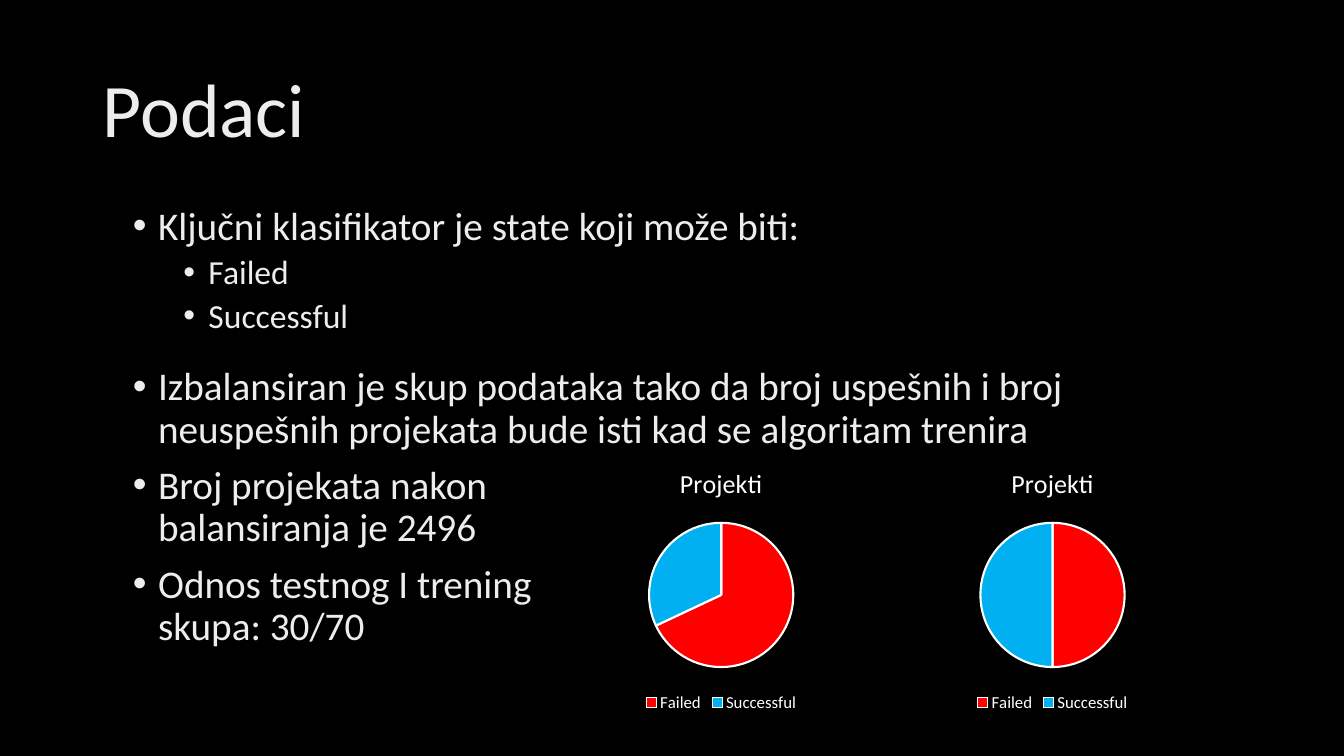
from lxml import etree
from pptx import Presentation
from pptx.chart.data import CategoryChartData
from pptx.dml.color import RGBColor
from pptx.enum.chart import XL_CHART_TYPE, XL_LEGEND_POSITION
from pptx.enum.text import MSO_ANCHOR
from pptx.oxml.ns import qn
from pptx.util import Cm, Pt

PIE = XL_CHART_TYPE.PIE
BOTTOM = XL_LEGEND_POSITION.BOTTOM
TOP, MIDDLE = MSO_ANCHOR.TOP, MSO_ANCHOR.MIDDLE


def color(hex_code):
    return RGBColor.from_string(hex_code)


def set_font(font, size, hex_code, name):
    font.size = Pt(size)
    font.name = name
    font.color.rgb = color(hex_code)


def add_text(p, text, *, size, hex_code, name, before=0, indent=None):
    """Fill a paragraph; an indent in cm makes it a bullet."""
    p.line_spacing = 0.9
    p.space_before = Pt(before)
    for i, line in enumerate(text.split("\n")):
        if i:
            p.add_line_break()
        r = p.add_run()
        r.text = line
        set_font(r.font, size, hex_code, name)
    if indent is not None:
        pPr = p._p.get_or_add_pPr()
        pPr.set("marL", str(Cm(indent)))
        pPr.set("indent", str(-Cm(0.635)))
        etree.SubElement(pPr, qn("a:buFont")).set("typeface", "Arial")
        etree.SubElement(pPr, qn("a:buChar")).set("char", "•")


class Deck:
    font = "Calibri"
    ink = "EDEDED"
    white = "FFFFFF"
    slices = ("FF0000", "00B0F0")
    levels = ({"size": 28, "before": 10, "indent": 0.635},
              {"size": 24, "before": 5, "indent": 1.905})

    def __init__(self):
        self.prs = Presentation()
        self.prs.slide_width, self.prs.slide_height = Cm(33.87), Cm(19.05)
        self.s = self.prs.slides.add_slide(self.prs.slide_layouts[6])
        fill = self.s.background.fill
        fill.solid()
        fill.fore_color.rgb = color("000000")

    def box(self, x, y, w, h, anchor=TOP):
        tf = self.s.shapes.add_textbox(Cm(x), Cm(y), Cm(w), Cm(h)).text_frame
        tf.word_wrap = True
        tf.vertical_anchor = anchor
        return tf

    def title(self, text, *place):
        tf = self.box(*place, anchor=MIDDLE)
        add_text(tf.paragraphs[0], text, size=54, hex_code=self.ink, name=self.font)

    def bullets(self, items, *place):
        tf = self.box(*place)
        for i, (level, text) in enumerate(items):
            p = tf.add_paragraph() if i else tf.paragraphs[0]
            p.level = level
            add_text(p, text, hex_code=self.ink, name=self.font, **self.levels[level])

    def pie(self, values, x, y, w, h):
        data = CategoryChartData()
        data.categories = ["Failed", "Successful"]
        data.add_series("Projekti", values)
        chart = self.s.shapes.add_chart(PIE, Cm(x), Cm(y), Cm(w), Cm(h), data).chart
        set_font(chart.font, 10, self.white, self.font)

        chart.has_title = True
        p = chart.chart_title.text_frame.paragraphs[0]
        r = p.add_run()
        r.text = "Projekti"
        set_font(r.font, 18.6, self.white, self.font)
        r.font.bold = False

        chart.has_legend = True
        chart.legend.position = BOTTOM
        chart.legend.include_in_layout = False
        set_font(chart.legend.font, 12, self.white, self.font)

        plot = chart.plots[0]
        plot.vary_by_categories = True
        for i, hex_code in enumerate(self.slices):
            fmt = plot.series[0].points[i].format
            fmt.fill.solid()
            fmt.fill.fore_color.rgb = color(hex_code)
            fmt.line.color.rgb = color(self.white)
            fmt.line.width = Pt(1.5)


def main():
    deck = Deck()

    # Title and text
    deck.title("Podaci", 2.34, 1.02, 29.21, 3.68)
    deck.bullets([
        (0, "Ključni klasifikator je state koji može biti:"),
        (1, "Failed"),
        (1, "Successful"),
    ], 3.1, 5.08, 28.42, 3.68)
    deck.bullets([
        (0, "Izbalansiran je skup podataka tako da broj uspešnih i broj "
            "neuspešnih projekata bude isti kad se algoritam trenira"),
        (0, "Broj projekata nakon\nbalansiranja je 2496"),
        (0, "Odnos testnog I trening\nskupa: 30/70"),
    ], 3.1, 9.12, 28.42, 8.92)

    # Class shares before and after balancing
    for x, values in ((13.16, (68, 32)), (21.51, (50, 50))):
        deck.pie(values, x, 11.34, 10.03, 6.71)

    deck.prs.save("out.pptx")


if __name__ == "__main__":
    main()
